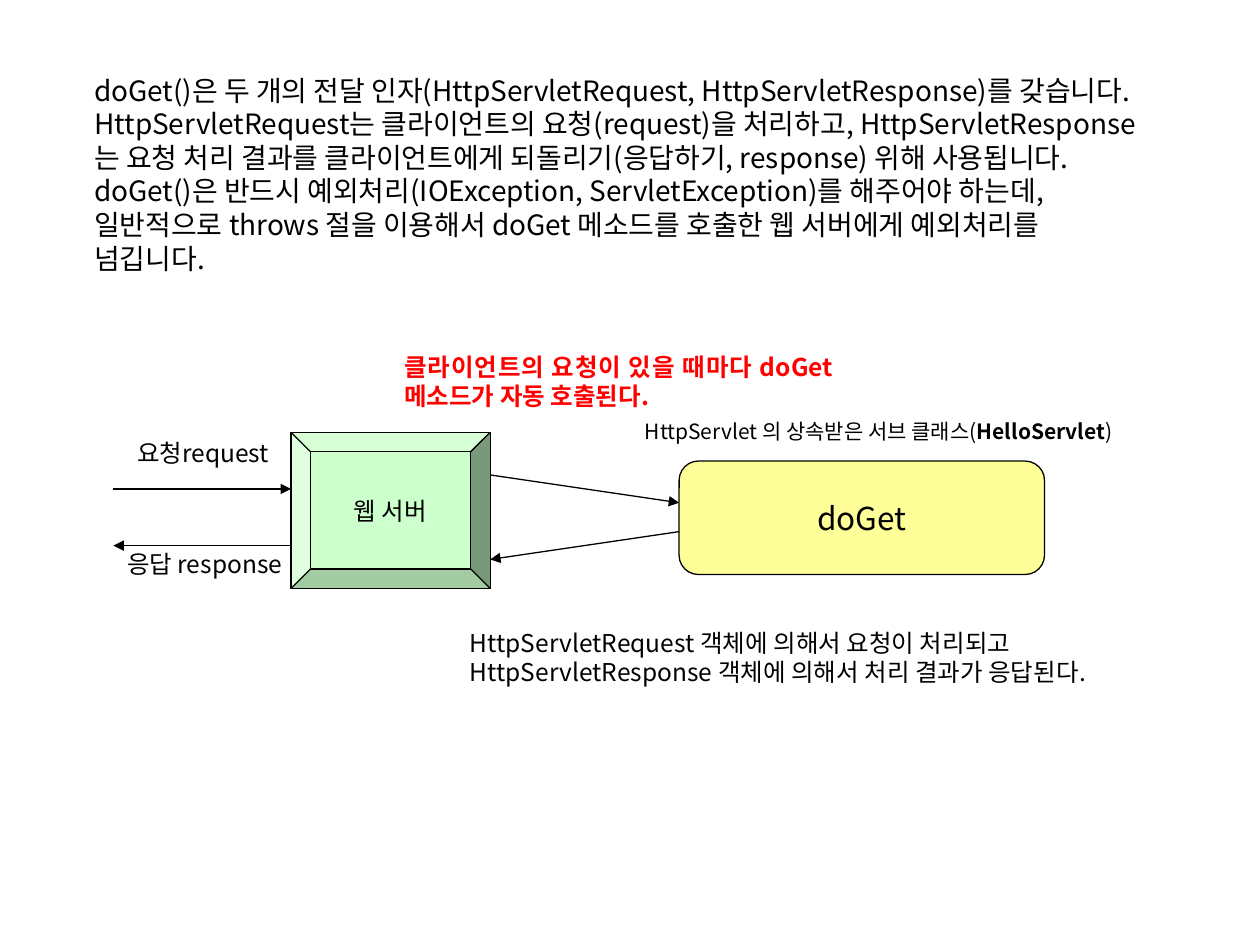
from dataclasses import dataclass

from lxml import etree
from pptx import Presentation
from pptx import util as u
from pptx.dml.color import RGBColor
from pptx.enum import shapes, text
from pptx.oxml import ns


@dataclass(frozen=True)
class Theme:
    font: str = "Noto Sans CJK KR"
    ink: str = "000000"
    accent: str = "FF0000"
    server: str = "CCFFCC"
    servlet: str = "FFFF99"
    line: float = 0.75
    note: int = 12
    label: int = 14
    body: int = 16
    method: int = 18


theme = Theme()
LEFT, CENTER, JUSTIFY = text.PP_ALIGN.LEFT, text.PP_ALIGN.CENTER, text.PP_ALIGN.JUSTIFY
TOP, MIDDLE = text.MSO_ANCHOR.TOP, text.MSO_ANCHOR.MIDDLE

deck = Presentation()
deck.slide_width, deck.slide_height = u.Pt(720), u.Pt(540)
page = deck.slides.add_slide(deck.slide_layouts[6])


def write(box, paragraphs, size, align=LEFT, anchor=MIDDLE, color=theme.ink, bold=False, wrap=True):
    """Fill a box; each paragraph is a list of (wording, bold) spans."""
    frame = box.text_frame
    frame.word_wrap = wrap
    frame.vertical_anchor = anchor
    for index, spans in enumerate(paragraphs):
        para = frame.add_paragraph() if index else frame.paragraphs[0]
        para.alignment = align
        para.font.name = theme.font
        para.font.size = u.Pt(size)
        para.font.bold = bold
        para.font.color.rgb = RGBColor.from_string(color)
        for wording, strong in spans:
            span = para.add_run()
            span.text = wording
            if strong:
                span.font.bold = True


# Explanation, captions and arrow labels
intro = (
    "doGet()은 두 개의 전달 인자(HttpServletRequest, HttpServletResponse)를 갖습니다. "
    "HttpServletRequest는 클라이언트의 요청(request)을 처리하고, "
    "HttpServletResponse는 요청 처리 결과를 클라이언트에게 되돌리기(응답하기, response) 위해 사용됩니다. "
    "doGet()은 반드시 예외처리(IOException, ServletException)를 해주어야 하는데, "
    "일반적으로 throws 절을 이용해서 doGet 메소드를 호출한 웹 서버에게 예외처리를 넘깁니다."
)
subclass = [("HttpServlet 의 상속받은 서브 클래스(", False), ("HelloServlet", True), (")", False)]
call = "클라이언트의 요청이 있을 때마다 doGet 메소드가 자동 호출된다."
results = [
    [("HttpServletRequest 객체에 의해서 요청이 처리되고", False)],
    [("HttpServletResponse 객체에 의해서 처리 결과가 응답된다.", False)],
]
for bounds, paragraphs, size, align, anchor, color, bold in [
    ((46.8, 37.5, 612.7, 123.8), [[(intro, False)]], theme.body, LEFT, MIDDLE, theme.ink, False),
    ((361.4, 235.5, 306, 21.6), [subclass], theme.note, JUSTIFY, MIDDLE, theme.ink, False),
    ((223.9, 197.3, 259.2, 41), [[(call, False)]], theme.label, JUSTIFY, MIDDLE, theme.accent, True),
    ((261.4, 355, 404.6, 41), results, theme.label, JUSTIFY, MIDDLE, theme.ink, False),
    ((71.3, 247, 95, 24.5), [[("요청request", False)]], theme.label, LEFT, TOP, theme.ink, False),
    ((65.5, 310.3, 113.8, 24.5), [[("응답 response", False)]], theme.label, LEFT, TOP, theme.ink, False),
]:
    box = page.shapes.add_textbox(*map(u.Pt, bounds))
    write(box, paragraphs, size, align, anchor, color, bold)

# Web server and servlet method
client_x, server_left, server_right, servlet_left = 64.8, 166.3, 280.1, 388.1
for preset, bounds, corner, fill, wording, size in [
    (shapes.MSO_SHAPE.BEVEL, (server_left, 247, server_right - server_left, 89.3),
     0.125, theme.server, "웹 서버", theme.label),
    (shapes.MSO_SHAPE.ROUNDED_RECTANGLE, (servlet_left, 263.5, 208.8, 64.8),
     0.17, theme.servlet, "doGet", theme.method),
]:
    box = page.shapes.add_shape(preset, *map(u.Pt, bounds))
    box.adjustments[0] = corner
    box.shadow.inherit = False
    box.fill.solid()
    box.fill.fore_color.rgb = RGBColor.from_string(fill)
    box.line.color.rgb = RGBColor.from_string(theme.ink)
    box.line.width = u.Pt(theme.line)
    write(box, [[(wording, False)]], size, CENTER, wrap=False)

# Request arrows run right, response arrows run left
for ends in [
    (client_x, 279.4, server_left, 279.4),
    (server_right, 271.4, servlet_left, 287.3),
    (servlet_left, 303.8, server_right, 319.7),
    (server_left, 311.8, client_x, 311.8),
]:
    arrow = page.shapes.add_connector(shapes.MSO_CONNECTOR.STRAIGHT, *map(u.Pt, ends))
    arrow.line.color.rgb = RGBColor.from_string(theme.ink)
    arrow.line.width = u.Pt(theme.line)
    etree.SubElement(arrow.line._get_or_add_ln(), ns.qn("a:tailEnd"), type="triangle")
    etree.SubElement(arrow._element.spPr, ns.qn("a:effectLst"))

deck.save("out.pptx")
